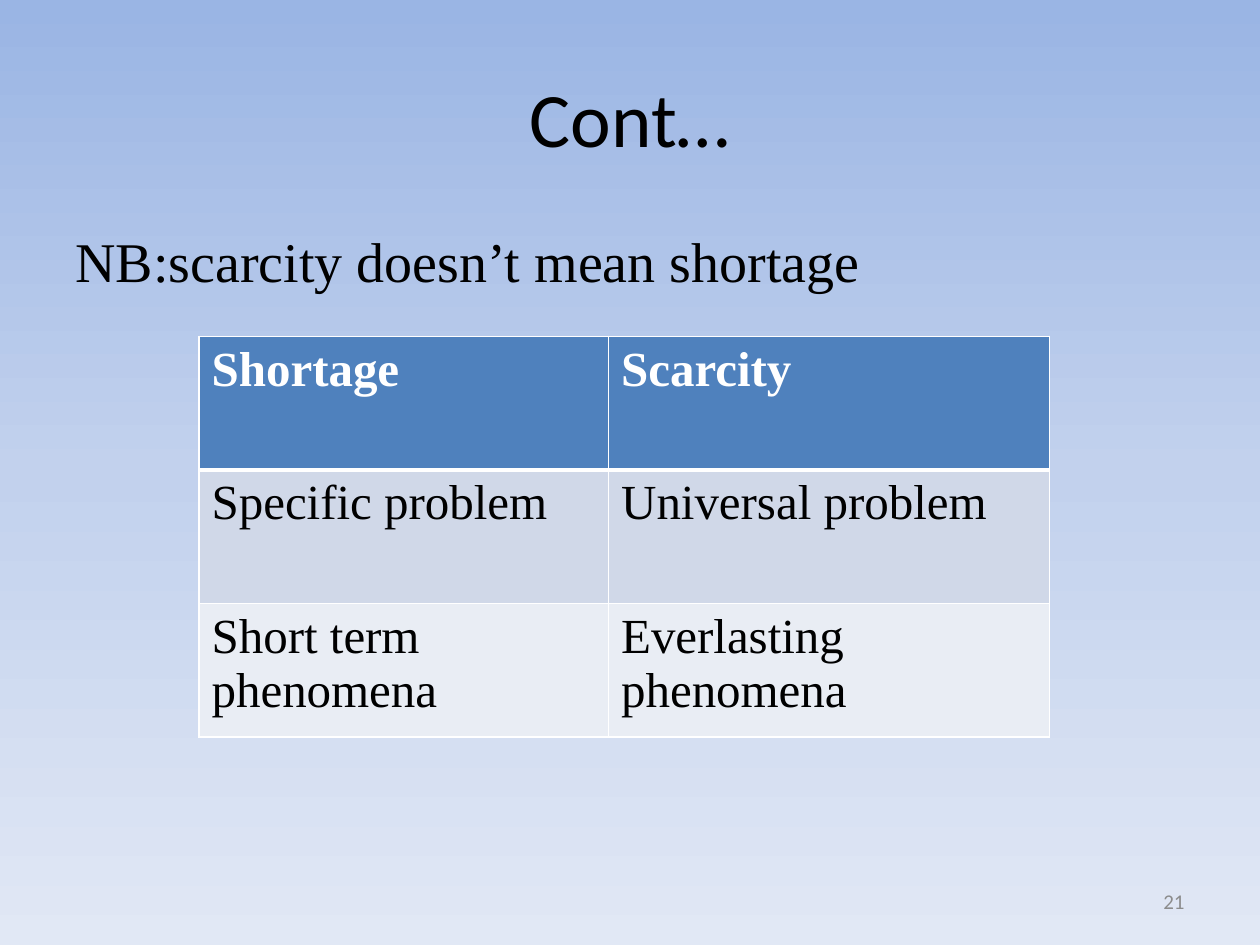
from copy import deepcopy
from lxml import etree
from pptx import Presentation
from pptx import util as u
from pptx.dml.color import RGBColor
from pptx.enum import text as t
from pptx.oxml.ns import qn

INK = {"black": "000000", "white": "FFFFFF", "gray": "8C8C8C",
       "head": "4F81BD", "odd": "D0D8E8", "even": "E9EDF4",
       "top": "9AB5E4", "mid": "C2D1ED", "low": "E1E8F5"}


def rgb(name):
    return RGBColor.from_string(INK[name])


def write(frame, words, size, font="Times New Roman", color="black",
          bold=False, align=t.PP_ALIGN.LEFT, before=0):
    para = frame.paragraphs[0]
    para.alignment = align
    para.space_before = u.Pt(before)
    run = para.add_run()
    run.text = words
    run.font.size = u.Pt(size)
    run.font.name = font
    run.font.bold = bold
    run.font.color.rgb = rgb(color)


class Deck:
    serif = "Times New Roman"
    sans = "Calibri"

    def __init__(self, wide, high):
        self.show = Presentation()
        self.show.slide_width = u.Inches(wide)
        self.show.slide_height = u.Inches(high)
        self.slide = self.show.slides.add_slide(self.show.slide_layouts[6])

    def back(self, *names):
        fill = self.slide.background.fill
        fill.gradient()
        fill.gradient_angle = 270
        first = fill.gradient_stops[0]
        first.color.rgb = rgb(names[0])
        node = self.slide.background._cSld.find(".//" + qn("a:gsLst"))
        base = deepcopy(node[0])
        for stop in list(node):
            node.remove(stop)
        for i, name in enumerate(names):
            stop = deepcopy(base)
            stop.set("pos", str(100000 * i // (len(names) - 1)))
            stop[0].set("val", INK[name])
            node.append(stop)

    def text(self, words, box, size, anchor=t.MSO_ANCHOR.TOP, **style):
        frame = self.slide.shapes.add_textbox(*map(u.Inches, box)).text_frame
        frame.word_wrap = True
        frame.vertical_anchor = anchor
        write(frame, words, size, **style)

    def edge(self, cell, widths):
        props = cell._tc.get_or_add_tcPr()
        for i, (side, width) in enumerate(zip("LRTB", widths)):
            line = etree.Element(qn("a:ln" + side), w=str(u.Pt(width)))
            fill = etree.SubElement(line, qn("a:solidFill"))
            etree.SubElement(fill, qn("a:srgbClr"), val=INK["white"])
            props.insert(i, line)

    def table(self, rows, left, top, cols, high, size):
        box = (left, top, sum(cols), high * len(rows))
        grid = self.slide.shapes.add_table(
            len(rows), len(cols), *map(u.Inches, box)).table
        for col, wide in zip(grid.columns, cols):
            col.width = u.Inches(wide)
        for r, row in enumerate(rows):
            grid.rows[r].height = u.Inches(high)
            head = r == 0
            shade = "head" if head else "odd" if r % 2 else "even"
            for c, words in enumerate(row):
                cell = grid.cell(r, c)
                cell.fill.solid()
                cell.fill.fore_color.rgb = rgb(shade)
                self.edge(cell, (1, 1, 3 if r == 1 else 1, 3 if head else 1))
                write(cell.text_frame, words, size, font=self.serif,
                      color="white" if head else "black", bold=head)


deck = Deck(10, 7.5)
deck.back("top", "mid", "low")
deck.text("Cont…", (0.5, 0.3, 9, 1.25), 44, t.MSO_ANCHOR.MIDDLE,
          font=deck.sans, align=t.PP_ALIGN.CENTER)
deck.text("NB:scarcity doesn’t mean shortage", (0.5, 1.75, 9, 4.95), 32,
          font=deck.serif, before=6.4)
deck.table([("Shortage", "Scarcity"),
            ("Specific problem", "Universal problem"),
            ("Short term phenomena", "Everlasting phenomena")],
           1.58, 2.67, (3.25, 3.5), 1.06, 28)
deck.text("21", (7.17, 6.95, 2.33, 0.4), 12, t.MSO_ANCHOR.MIDDLE,
          font=deck.sans, color="gray", align=t.PP_ALIGN.RIGHT)
deck.show.save("out.pptx")
